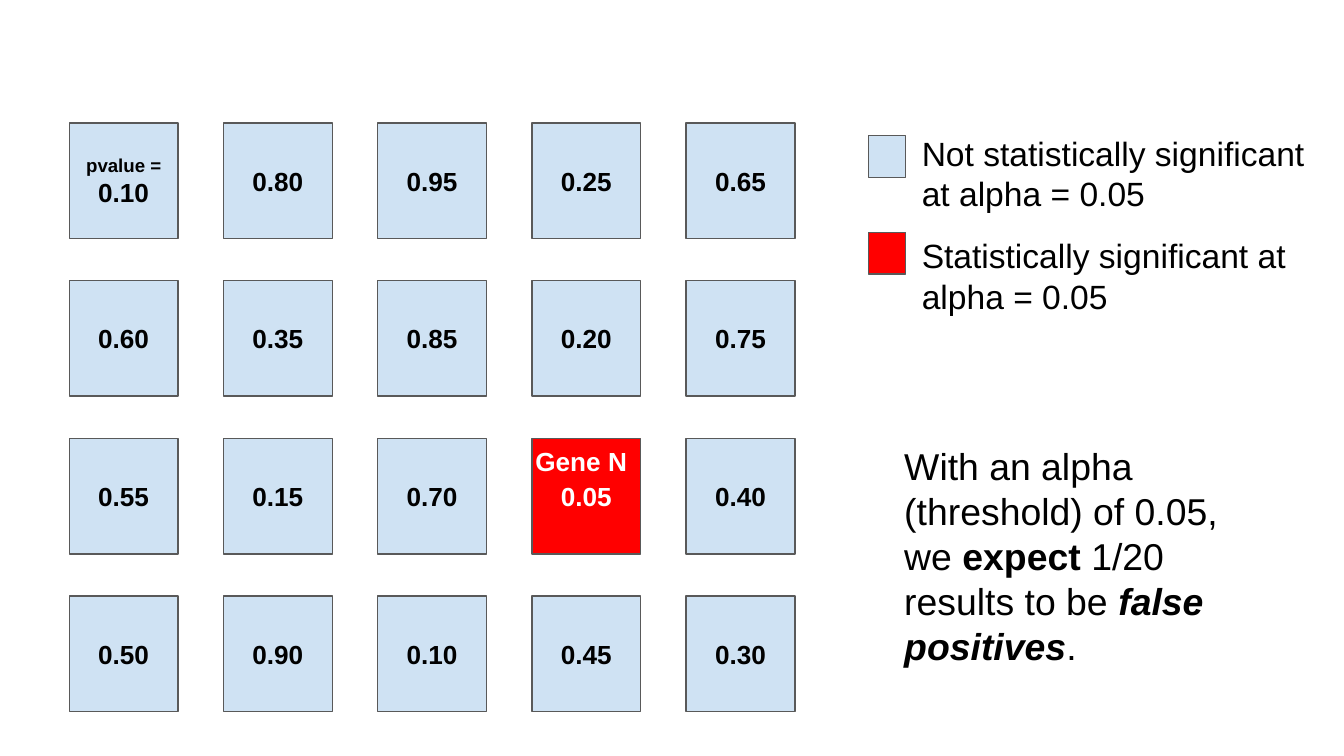
from pptx import Presentation
from pptx.dml.color import RGBColor
from pptx.enum.shapes import MSO_SHAPE
from pptx.enum.text import MSO_ANCHOR, PP_ALIGN
from pptx.util import Pt

EMU_PER_PX = 4572  # 200 px to the inch
COLORS = {
    "blue": "CFE2F3",
    "red": "FF0000",
    "outline": "595959",
    "black": "000000",
    "white": "FFFFFF",
}
FONT = "Arial"

# Content: runs are (text, size, style), where style holds "b" and/or "i"
P_VALUES = [
    ["0.10", "0.80", "0.95", "0.25", "0.65"],
    ["0.60", "0.35", "0.85", "0.20", "0.75"],
    ["0.55", "0.15", "0.70", "0.05", "0.40"],
    ["0.50", "0.90", "0.10", "0.45", "0.30"],
]
FIRST_LABEL = ("pvalue = ", 10, "b")
SIGNIFICANT = "0.05"
GENE_LABEL = [("Gene N", 14, "b")]
LEGEND = [
    # fill, square top, text top, label
    ("blue", 202, 178, "Not statistically significant at alpha = 0.05"),
    ("red", 346, 330, "Statistically significant at alpha = 0.05"),
]
CONCLUSION = [
    ("With an alpha (threshold) of 0.05, we ", 20, ""),
    ("expect", 20, "b"),
    (" 1/20 results to be ", 20, ""),
    ("false positives", 20, "bi"),
    (".", 20, ""),
]

# Layout in px
SLIDE_WIDTH, SLIDE_HEIGHT = 2000, 1125
GRID_LEFT, GRID_RIGHT, GRID_TOP, GRID_BOTTOM = 103, 1183, 183, 1059
CELL_WIDTH, CELL_HEIGHT = 162, 172
INSET = 20


def px(value):
    return round(value * EMU_PER_PX)


def rgb(name):
    return RGBColor.from_string(COLORS[name])


def spread(start, end, size, count):
    """Starts of equally spaced items that fill the span."""
    step = (end - start - size) / (count - 1)
    return [start + index * step for index in range(count)]


def write(text_frame, runs, color="black", align=PP_ALIGN.LEFT,
          anchor=MSO_ANCHOR.TOP):
    text_frame.word_wrap = True
    text_frame.vertical_anchor = anchor
    text_frame.margin_left = text_frame.margin_right = px(INSET)
    text_frame.margin_top = text_frame.margin_bottom = px(INSET)
    paragraph = text_frame.paragraphs[0]
    paragraph.alignment = align
    for text, size, style in runs:
        run = paragraph.add_run()
        run.text = text
        run.font.name = FONT
        run.font.size = Pt(size)
        run.font.bold = "b" in style
        run.font.italic = "i" in style
        run.font.color.rgb = rgb(color)


def add_square(slide, left, top, width, height, fill):
    shape = slide.shapes.add_shape(
        MSO_SHAPE.RECTANGLE, px(left), px(top), px(width), px(height))
    shape.shadow.inherit = False
    shape.fill.solid()
    shape.fill.fore_color.rgb = rgb(fill)
    shape.line.color.rgb = rgb("outline")
    shape.line.width = Pt(0.75)
    return shape


def add_text(slide, left, top, width, height, runs, color="black"):
    box = slide.shapes.add_textbox(px(left), px(top), px(width), px(height))
    write(box.text_frame, runs, color)


def main():
    presentation = Presentation()
    presentation.slide_width = px(SLIDE_WIDTH)
    presentation.slide_height = px(SLIDE_HEIGHT)
    slide = presentation.slides.add_slide(presentation.slide_layouts[6])

    # Legend
    for fill, square_top, text_top, label in LEGEND:
        add_square(slide, 1292, square_top, 56, 62, fill)
        add_text(slide, 1352, text_top, 616, 96, [(label, 18, "")])

    # Grid of p-values
    lefts = spread(GRID_LEFT, GRID_RIGHT, CELL_WIDTH, len(P_VALUES[0]))
    tops = spread(GRID_TOP, GRID_BOTTOM, CELL_HEIGHT, len(P_VALUES))
    for row, (top, values) in enumerate(zip(tops, P_VALUES)):
        for column, (left, value) in enumerate(zip(lefts, values)):
            significant = value == SIGNIFICANT
            cell = add_square(slide, left, top, CELL_WIDTH, CELL_HEIGHT,
                              "red" if significant else "blue")
            runs = [(value, 14, "b")]
            if row == column == 0:
                runs.insert(0, FIRST_LABEL)
            write(cell.text_frame, runs, "white" if significant else "black",
                  PP_ALIGN.CENTER, MSO_ANCHOR.MIDDLE)

    # Gene label and conclusion
    add_text(slide, 777, 643, 260, 82, GENE_LABEL, "white")
    add_text(slide, 1326, 640, 572, 364, CONCLUSION)

    presentation.save("out.pptx")


if __name__ == "__main__":
    main()
